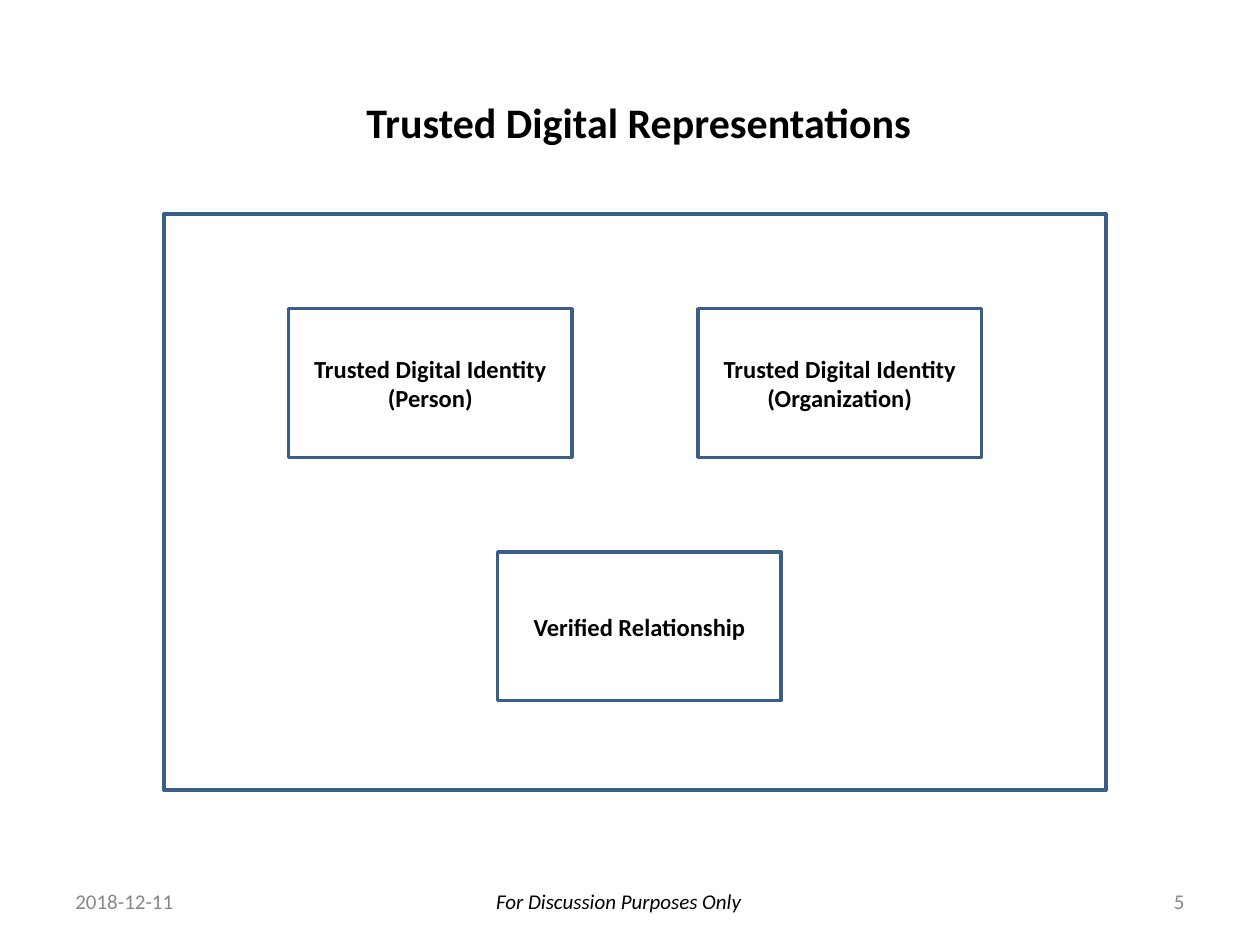
from pptx import Presentation
from pptx.dml.color import RGBColor
from pptx.enum import shapes, text
from pptx.util import Inches, Pt

TITLE = ("Trusted Digital Representations", (0.98, 0.72, 8.18, 0.5))
FRAME = (1.3, 1.7, 7.48, 4.57)
BOX_SIZE = (2.25, 1.18)
BOXES = [
    ("Trusted Digital Identity (Person)", (2.29, 2.45)),
    ("Trusted Digital Identity (Organization)", (5.54, 2.45)),
    ("Verified Relationship", (3.95, 4.38)),
]
FOOT_TOP, FOOT_HIGH = 6.95, 0.4
FOOTER = [  # words, left, width, format
    ("2018-12-11", 0.5, 2.33, dict(align="LEFT", color="888888")),
    ("For Discussion Purposes Only", 3.15, 3.52,
     dict(italic=True, anchor="TOP", pad=0.1)),
    ("5", 7.17, 2.33, dict(align="RIGHT", color="888888")),
]
BLUE = "395E89"


def paint(target, color):
    target.rgb = RGBColor.from_string(color)


def write(shape, words, size=12, color="000000", bold=False, italic=False,
          align="CENTER", anchor="MIDDLE", pad=0.05):
    frame = shape.text_frame
    frame.word_wrap = True
    frame.vertical_anchor = getattr(text.MSO_ANCHOR, anchor)
    frame.margin_left = frame.margin_right = Inches(0.1)
    frame.margin_top = frame.margin_bottom = Inches(pad)
    para = frame.paragraphs[0]
    para.alignment = getattr(text.PP_ALIGN, align)
    run = para.add_run()
    run.text = words
    font = run.font
    font.name, font.size = "Calibri", Pt(size)
    font.bold, font.italic = bold, italic
    paint(font.color, color)


def add_text(slide, words, place, **form):
    write(slide.shapes.add_textbox(*map(Inches, place)), words, **form)


def add_box(slide, place):
    box = slide.shapes.add_shape(shapes.MSO_SHAPE.RECTANGLE,
                                 *map(Inches, place))
    box.shadow.inherit = False
    box.fill.background()
    paint(box.line.color, BLUE)
    box.line.width = Pt(2)
    return box


def main():
    deck = Presentation()
    deck.slide_width, deck.slide_height = Inches(10), Inches(7.5)
    slide = deck.slides.add_slide(deck.slide_layouts[6])
    add_box(slide, FRAME)
    words, place = TITLE
    add_text(slide, words, place, size=24, bold=True)
    for words, corner in BOXES:
        write(add_box(slide, corner + BOX_SIZE), words, size=14, bold=True)
    for words, left, width, form in FOOTER:
        add_text(slide, words, (left, FOOT_TOP, width, FOOT_HIGH), **form)
    deck.save("out.pptx")


if __name__ == "__main__":
    main()
